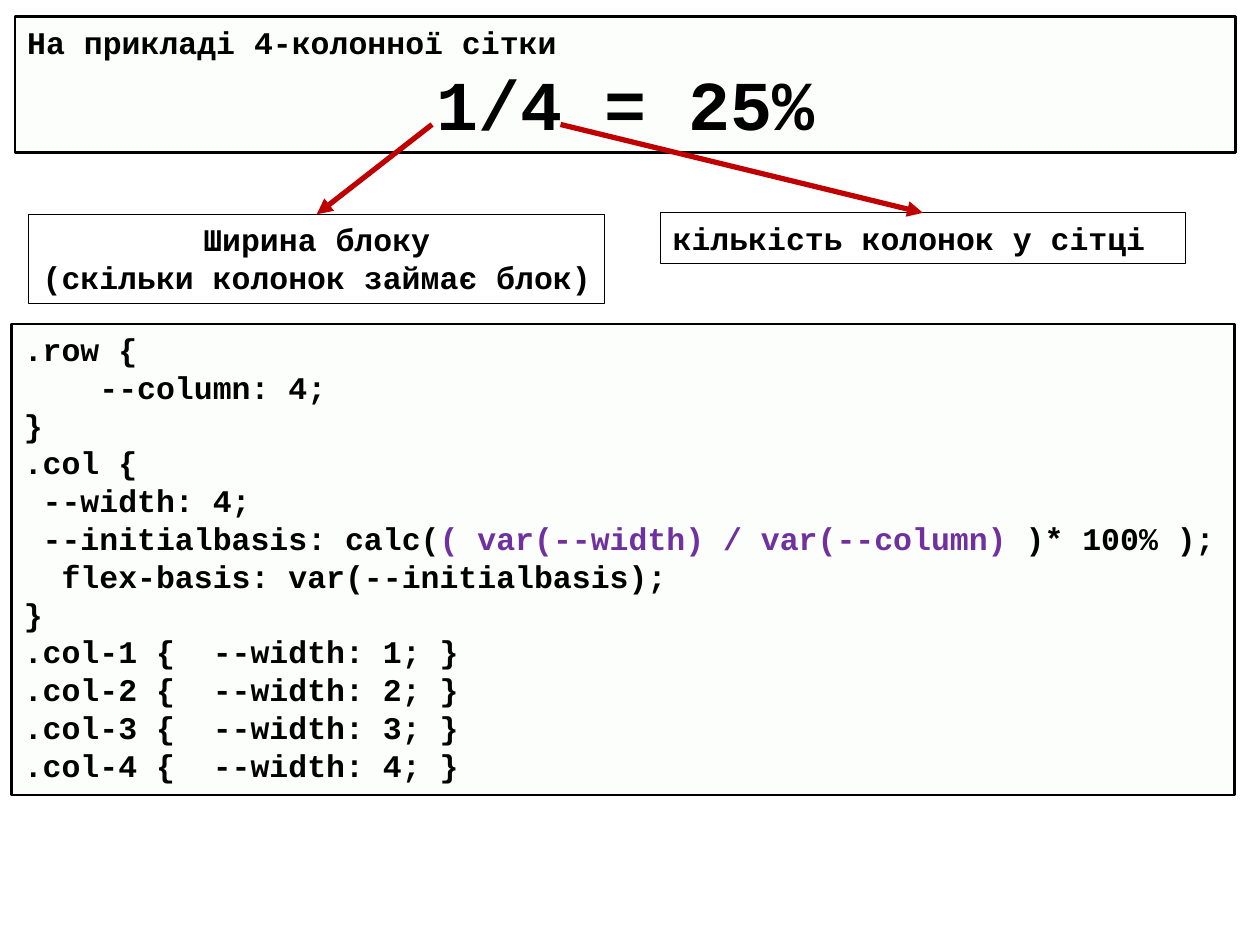
from dataclasses import dataclass

from lxml.etree import SubElement
from pptx import Presentation
from pptx.dml.color import RGBColor
from pptx.enum.shapes import MSO_CONNECTOR as Connector
from pptx.enum.text import MSO_ANCHOR as Anchor, MSO_AUTO_SIZE as AutoSize, PP_ALIGN as Align
from pptx.oxml.ns import qn
from pptx.util import Cm, Pt


@dataclass(frozen=True)
class Theme:
    font: str = "Courier New"
    ink: RGBColor = RGBColor(0x00, 0x00, 0x00)
    accent: RGBColor = RGBColor(0x70, 0x30, 0xA0)
    arrow: RGBColor = RGBColor(0xC0, 0x00, 0x00)
    panel: RGBColor = RGBColor(0xE5, 0xF6, 0xD8)
    panel_opacity: int = 8
    body_size: int = 18
    formula_size: int = 40
    panel_line: float = 1.5
    label_line: float = 0.75
    arrow_line: float = 3


THEME = Theme()
FORMULA = "1/4 = 25%"
RATIO = "( var(--width) / var(--column)"
CODE = [
    ".row {",
    "    --column: 4;",
    "}",
    ".col {",
    " --width: 4;",
    f" --initialbasis: calc({RATIO} )* 100% );",
    "  flex-basis: var(--initialbasis); ",
    "}",
    *(f".col-{n} {{  --width: {n}; }}" for n in range(1, 5)),
]


def split_accent(line):
    before, accent, after = line.partition(RATIO)
    pieces = [(before, THEME.ink), (accent, THEME.accent), (after, THEME.ink)]
    return [(text, color) for text, color in pieces if text]


def write_line(paragraph, line, align):
    paragraph.alignment = Align.CENTER if line == FORMULA else align
    for text, color in split_accent(line):
        run = paragraph.add_run()
        run.text = text
        run.font.name = THEME.font
        run.font.bold = True
        run.font.size = Pt(THEME.formula_size if line == FORMULA else THEME.body_size)
        run.font.color.rgb = color


def add_box(slide, left, top, width, height, lines, line_width, align=Align.LEFT, wrap=True):
    box = slide.shapes.add_textbox(Cm(left), Cm(top), Cm(width), Cm(height))
    box.line.color.rgb = THEME.ink
    box.line.width = Pt(line_width)
    frame = box.text_frame
    frame.word_wrap = wrap
    frame.auto_size = AutoSize.SHAPE_TO_FIT_TEXT
    frame.vertical_anchor = Anchor.TOP
    for index, line in enumerate(lines):
        paragraph = frame.add_paragraph() if index else frame.paragraphs[0]
        write_line(paragraph, line, align)
    return box


def add_panel(slide, left, top, width, height, lines):
    panel = add_box(slide, left, top, width, height, lines, THEME.panel_line)
    panel.fill.solid()
    panel.fill.fore_color.rgb = THEME.panel
    color = panel.fill._xPr.find(qn("a:solidFill"))[0]
    SubElement(color, qn("a:alpha")).set("val", str(THEME.panel_opacity * 1000))


def add_arrow(slide, start_x, start_y, label):
    arrow = slide.shapes.add_connector(
        Connector.STRAIGHT, Cm(start_x), Cm(start_y), label.left + label.width // 2, label.top
    )
    arrow.line.color.rgb = THEME.arrow
    arrow.line.width = Pt(THEME.arrow_line)
    SubElement(arrow.line._get_or_add_ln(), qn("a:tailEnd")).set("type", "triangle")
    SubElement(arrow._element.spPr, qn("a:effectLst"))


def main():
    deck = Presentation()
    deck.slide_width, deck.slide_height = Cm(25.4), Cm(19.05)
    slide = deck.slides.add_slide(deck.slide_layouts[6])

    add_panel(slide, 0.3, 0.33, 24.61, 2.74, ["На прикладі 4-колонної сітки ", FORMULA])
    add_panel(slide, 0.23, 6.53, 24.66, 9.5, CODE)

    block_width = add_box(
        slide, 0.58, 4.32, 11.61, 1.8,
        ["Ширина блоку", "(скільки колонок займає блок)"],
        THEME.label_line, Align.CENTER, wrap=False,
    )
    column_count = add_box(
        slide, 13.31, 4.29, 10.59, 1.02, ["кількість колонок у сітці"], THEME.label_line
    )

    add_arrow(slide, 8.71, 2.51, block_width)
    add_arrow(slide, 11.3, 2.51, column_count)
    deck.save("out.pptx")


main()
